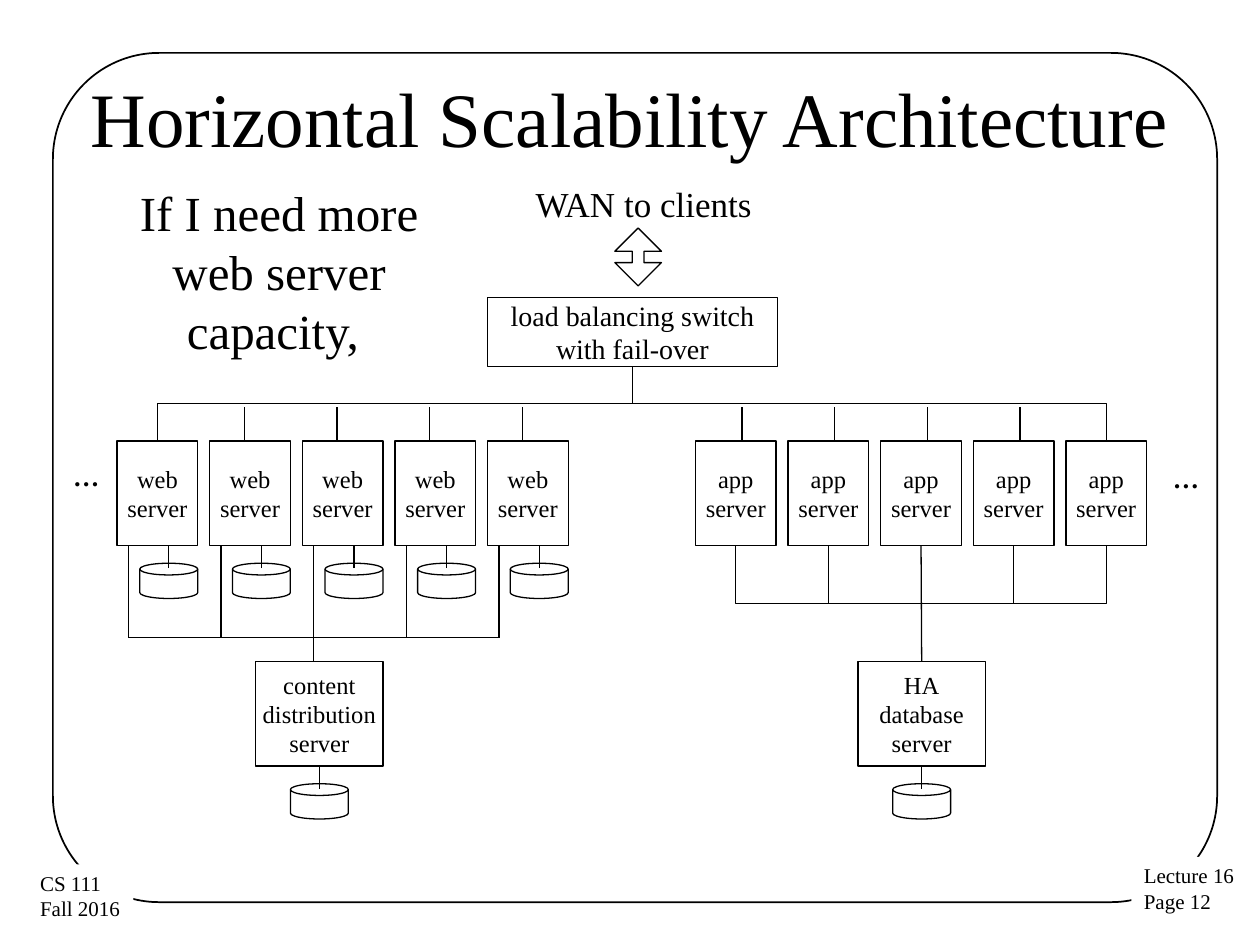
import pptx
import pptx.dml.color
import pptx.enum.shapes
import pptx.enum.text
import pptx.oxml
import pptx.oxml.ns
import pptx.util
from dataclasses import dataclass

Inches = pptx.util.Inches
Pt = pptx.util.Pt
Shape = pptx.enum.shapes.MSO_SHAPE
Connector = pptx.enum.shapes.MSO_CONNECTOR
Align = pptx.enum.text.PP_ALIGN
Anchor = pptx.enum.text.MSO_ANCHOR
BLACK = pptx.dml.color.RGBColor(0, 0, 0)
WHITE = pptx.dml.color.RGBColor(255, 255, 255)
FONT = "Times New Roman"
TOP, BOTTOM = 0, 2

SERVER_TOP, SERVER_WIDTH, SERVER_HEIGHT = 3.5, 0.64, 0.83
SERVER_BOTTOM = SERVER_TOP + SERVER_HEIGHT
SERVER_PITCH = 0.735
SERVER_COUNT = 5
STUB_TOP = 3.23
CONTENT_BUS_Y = 5.06
BACKEND_TOP, BACKEND_WIDTH = 5.25, 1.01


@dataclass
class Box:
    left: float
    top: float
    width: float
    height: float

    @property
    def center(self) -> float:
        return self.left + self.width / 2

    @property
    def bottom(self) -> float:
        return self.top + self.height


@dataclass
class ServerRow:
    kind: str
    left: float
    stub_offset: float
    stubbed: range

    def boxes(self) -> list[Box]:
        return [Box(self.left + SERVER_PITCH * index, SERVER_TOP, SERVER_WIDTH, SERVER_HEIGHT)
                for index in range(SERVER_COUNT)]


@dataclass
class Label:
    box: Box
    lines: list[str]
    size: int
    align: Align = Align.LEFT
    bold: bool = False
    wrap: bool = False
    filled: bool = False
    margins: tuple[float, float] = (0.11, 0.06)


def write(shape, lines: list[str], size: int, align: Align, bold: bool = False,
          wrap: bool = False, margins: tuple[float, float] = (0.11, 0.06)) -> None:
    frame = shape.text_frame
    frame.word_wrap = wrap
    frame.margin_left = frame.margin_right = Inches(margins[0])
    frame.margin_top = frame.margin_bottom = Inches(margins[1])
    for index, line in enumerate(lines):
        paragraph = frame.paragraphs[0] if index == 0 else frame.add_paragraph()
        paragraph.alignment = align
        run = paragraph.add_run()
        run.text = line
        run.font.name = FONT
        run.font.size = Pt(size)
        run.font.bold = bold
        run.font.color.rgb = BLACK


def add_outline(slide, preset: Shape, box: Box, line_width: float = 0.75):
    shape = slide.shapes.add_shape(preset, Inches(box.left), Inches(box.top),
                                   Inches(box.width), Inches(box.height))
    shape.shadow.inherit = False
    shape.fill.background()
    shape.line.color.rgb = BLACK
    shape.line.width = Pt(line_width)
    return shape


def add_node(slide, box: Box, lines: list[str], size: int = 14):
    shape = add_outline(slide, Shape.RECTANGLE, box)
    write(shape, lines, size, Align.CENTER)
    shape.text_frame.vertical_anchor = Anchor.MIDDLE
    return shape


def add_label(slide, label: Label) -> None:
    box = label.box
    shape = slide.shapes.add_textbox(Inches(box.left), Inches(box.top),
                                     Inches(box.width), Inches(box.height))
    if label.filled:
        shape.fill.solid()
        shape.fill.fore_color.rgb = WHITE
    write(shape, label.lines, label.size, label.align, label.bold, label.wrap, label.margins)


def add_line(slide, x1: float, y1: float, x2: float, y2: float,
             kind: Connector = Connector.STRAIGHT):
    line = slide.shapes.add_connector(kind, Inches(x1), Inches(y1), Inches(x2), Inches(y2))
    line.line.color.rgb = BLACK
    line.line.width = Pt(0.75)
    line._element.spPr.append(pptx.oxml.parse_xml(
        f"<a:effectLst {pptx.oxml.ns.nsdecls('a')}/>"))
    return line


def add_vertical_elbow(slide, x1: float, y1: float, x2: float, y2: float) -> None:
    """Draw an elbow that leaves and arrives vertically, by turning a horizontal one."""
    goes_left, goes_up = x2 < x1, y2 < y1
    middle_x, middle_y = (x1 + x2) / 2, (y1 + y2) / 2
    half_width, half_height = abs(y2 - y1) / 2, abs(x2 - x1) / 2
    if goes_left == goes_up:
        half_width = -half_width
    elbow = add_line(slide, middle_x - half_width, middle_y - half_height,
                     middle_x + half_width, middle_y + half_height, Connector.ELBOW)
    degrees = 90 if goes_left else 270
    elbow._element.spPr.find(pptx.oxml.ns.qn("a:xfrm")).set("rot", str(degrees * 60000))


def add_disk(slide, center: float, owner_bottom: float, owner=None) -> None:
    add_outline(slide, Shape.FLOWCHART_MAGNETIC_DISK,
                Box(center - 0.23, owner_bottom + 0.14, 0.46, 0.28))
    stem = add_line(slide, center, owner_bottom + 0.18, center, owner_bottom)
    if owner is not None:
        stem.end_connect(owner, BOTTOM)


def add_servers(slide, row: ServerRow) -> list:
    servers = [add_node(slide, box, [row.kind, "server"]) for box in row.boxes()]
    for index in row.stubbed:
        x = row.boxes()[index].left + row.stub_offset
        add_line(slide, x, SERVER_TOP, x, STUB_TOP)
    return servers


def main() -> None:
    presentation = pptx.Presentation()
    presentation.slide_width, presentation.slide_height = Inches(10), Inches(7.5)
    slide = presentation.slides.add_slide(presentation.slide_layouts[5])

    frame = add_outline(slide, Shape.ROUNDED_RECTANGLE, Box(0.42, 0.42, 9.24, 6.74), 1)
    frame.adjustments[0] = 0.125

    title = slide.shapes.title
    title.left, title.top, title.width, title.height = map(Inches, (0.5, 0.3, 9, 1.25))
    write(title, ["Horizontal Scalability Architecture"], 44, Align.CENTER,
          wrap=True, margins=(0.1, 0.05))
    title.text_frame.vertical_anchor = Anchor.MIDDLE

    labels = [
        Label(Box(8.98, 6.8, 0.93, 0.51), ["Lecture 16", "Page 12"], 12,
              filled=True, margins=(0.1, 0.05)),
        Label(Box(0.22, 6.86, 0.84, 0.51), ["CS 111", "Fall 2016"], 12,
              filled=True, margins=(0.1, 0.05)),
        Label(Box(4.14, 1.39, 1.95, 0.45), ["WAN to clients"], 20),
        Label(Box(0.47, 3.59, 0.44, 0.37), ["…"], 15, bold=True),
        Label(Box(9.2, 3.61, 0.44, 0.37), ["…"], 15, bold=True),
        Label(Box(0.78, 1.4, 2.87, 1.51), ["If I need more web server capacity, "], 28,
              Align.CENTER, wrap=True, margins=(0.1, 0.05)),
    ]
    for label in labels:
        add_label(slide, label)

    arrow = add_outline(slide, Shape.UP_DOWN_ARROW, Box(4.88, 1.81, 0.37, 0.46))
    arrow.adjustments[1] = 0.25
    switch = Box(3.87, 2.36, 2.3, 0.55)
    add_node(slide, switch, ["load balancing switch", "with fail-over"], 16)

    web_row = ServerRow("web", 0.93, 0.275, range(1, SERVER_COUNT))
    app_row = ServerRow("app", 5.52, 0.37, range(SERVER_COUNT - 1))
    add_servers(slide, web_row)
    app_servers = add_servers(slide, app_row)
    for outermost in (web_row.boxes()[0], app_row.boxes()[-1]):
        add_vertical_elbow(slide, switch.center, switch.bottom, outermost.center, SERVER_TOP)

    content = Box(2.03, BACKEND_TOP, BACKEND_WIDTH, SERVER_HEIGHT)
    database = Box(6.81, BACKEND_TOP, BACKEND_WIDTH, SERVER_HEIGHT)
    content_node = add_node(slide, content, ["content", "distribution", "server"])
    database_node = add_node(slide, database, ["HA", "database", "server"])
    add_disk(slide, content.center, content.bottom, content_node)
    add_disk(slide, database.center, database.bottom, database_node)

    feeds = [box.left + 0.09 for box in web_row.boxes()]
    for box, feed in zip(web_row.boxes(), feeds):
        add_disk(slide, box.left + 0.41, SERVER_BOTTOM)
        add_line(slide, feed, CONTENT_BUS_Y, feed, SERVER_BOTTOM)
    add_line(slide, feeds[0], CONTENT_BUS_Y, feeds[-1], CONTENT_BUS_Y)
    add_line(slide, feeds[2], BACKEND_TOP, feeds[2], CONTENT_BUS_Y)

    middle = SERVER_COUNT // 2
    for index, box in enumerate(app_row.boxes()):
        if index == middle:
            link = add_line(slide, database.center, BACKEND_TOP, box.center, SERVER_BOTTOM)
            link.begin_connect(database_node, TOP)
            link.end_connect(app_servers[index], BOTTOM)
        else:
            add_vertical_elbow(slide, database.center, BACKEND_TOP, box.center, SERVER_BOTTOM)

    presentation.save("out.pptx")


if __name__ == "__main__":
    main()
